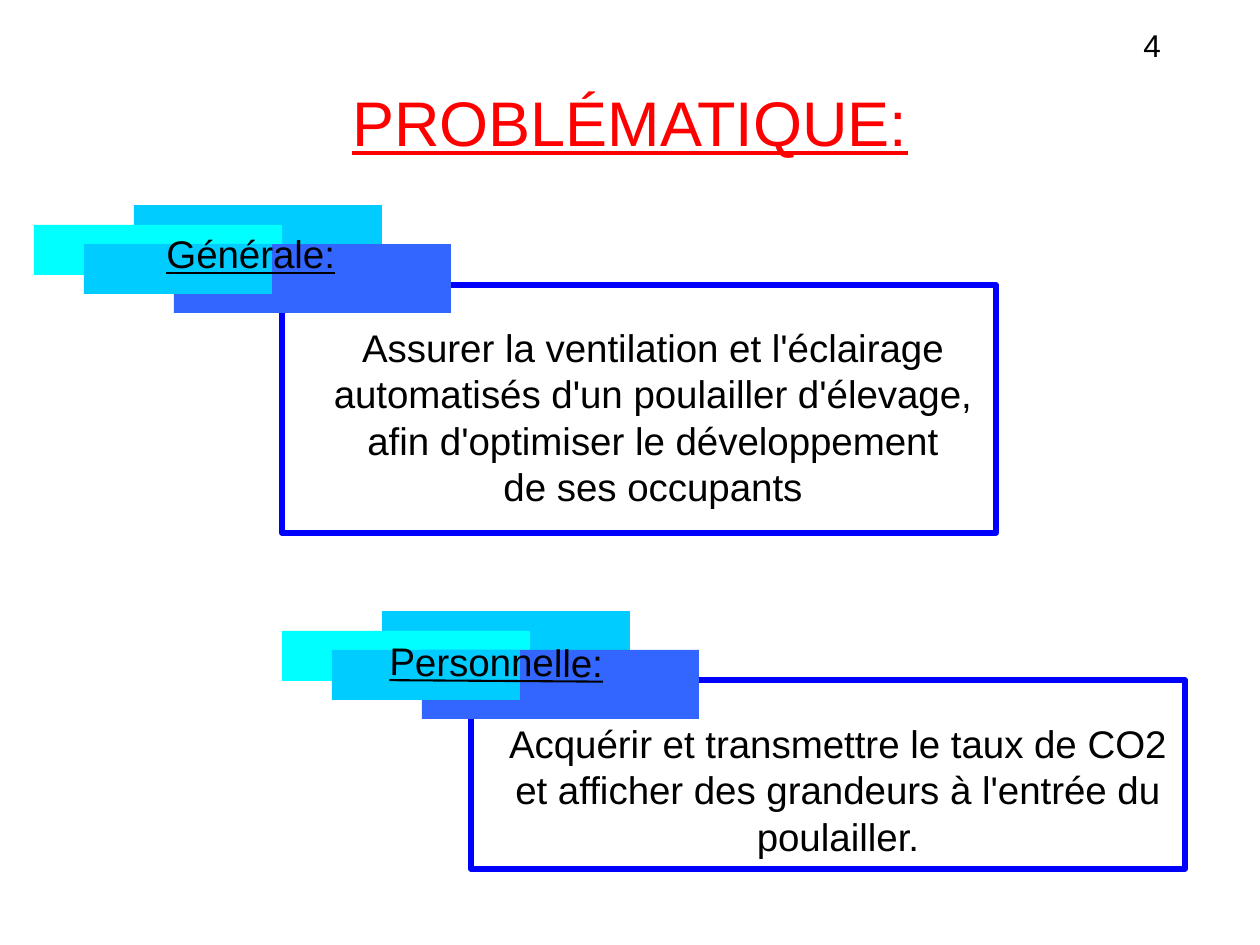
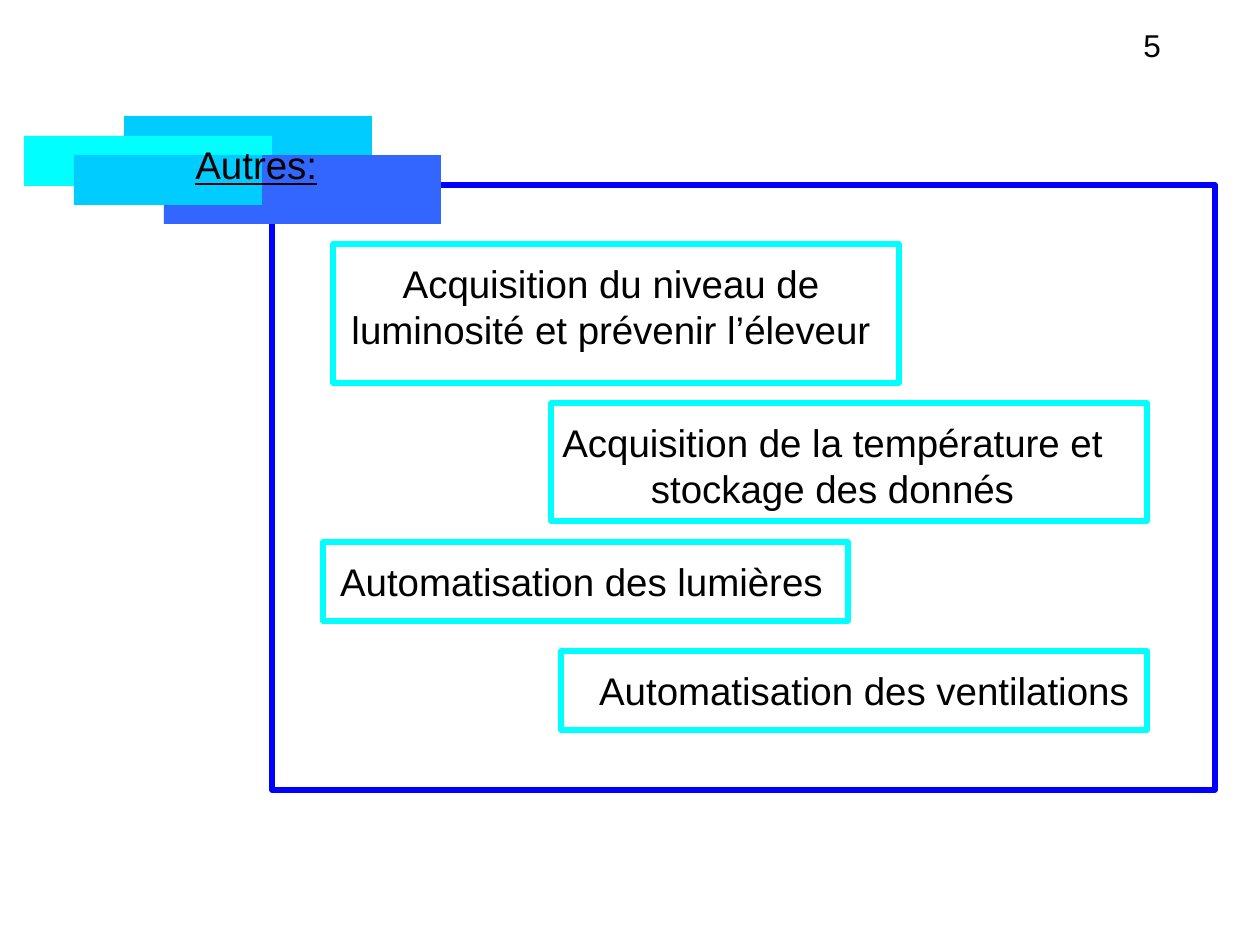
from pptx import Presentation
from pptx.dml.color import RGBColor
from pptx.enum.shapes import MSO_SHAPE as Shape
from pptx.enum.text import MSO_ANCHOR as Anchor, PP_ALIGN as Align
from pptx.util import Emu, Pt

PX_PER_INCH = 126
FONT = "Arial"
BLACK = RGBColor(0x00, 0x00, 0x00)
RED = RGBColor(0xFF, 0x00, 0x00)
BLUE = RGBColor(0x00, 0x00, 0xFF)
CYAN = RGBColor(0x00, 0xFF, 0xFF)
SKY = RGBColor(0x00, 0xCC, 0xFF)
ROYAL = RGBColor(0x33, 0x66, 0xFF)

TITLE_ONLY, BLANK = 5, 6
BANNER_BARS = [
    (100, 0, 248, 69, SKY),
    (0, 20, 248, 50, CYAN),
    (140, 39, 277, 69, ROYAL),
    (50, 39, 188, 50, SKY),
]


def px(length):
    return Emu(round(length * 914400 / PX_PER_INCH))


def scaled(box):
    return [px(length) for length in box]


def write(frame, lines, size=22, align=Align.CENTER, color=BLACK, underline=None):
    frame.word_wrap = True
    frame.vertical_anchor = Anchor.TOP
    frame.text = "\n".join(lines)
    for paragraph in frame.paragraphs:
        paragraph.alignment = align
        font = paragraph.font
        font.name, font.size, font.underline = FONT, Pt(size), underline
        font.color.rgb = color


def add_text(slide, box, lines, **style):
    text = slide.shapes.add_textbox(*scaled(box))
    write(text.text_frame, lines, **style)
    return text


def add_bar(slide, box, fill):
    bar = slide.shapes.add_shape(Shape.RECTANGLE, *scaled(box))
    bar.shadow.inherit = False
    bar.fill.solid()
    bar.fill.fore_color.rgb = fill
    bar.line.fill.background()


def add_frame(slide, box, color):
    frame = slide.shapes.add_shape(Shape.RECTANGLE, *scaled(box))
    frame.shadow.inherit = False
    frame.fill.background()
    frame.line.color.rgb = color
    frame.line.width = Pt(3)


def add_banner(slide, left, top, heading, indent, width, drop=19, tilt=0):
    for dx, dy, bar_width, bar_height, fill in BANNER_BARS:
        add_bar(slide, (left + dx, top + dy, bar_width, bar_height), fill)
    label = add_text(slide, (left + indent, top + drop, width, 59), [heading],
                     align=Align.LEFT, underline=True)
    label.rotation = tilt


def add_objective(slide, box, text_offset, text_height, lines):
    left, top, width, height = box
    dx, dy = text_offset
    add_frame(slide, box, BLUE)
    add_text(slide, (left + dx, top + dy, width, text_height), lines)


def add_task(slide, box, text_dx, text_width, text):
    left, top, width, height = box
    add_frame(slide, box, CYAN)
    add_text(slide, (left + text_dx, top + 10, text_width, height - 20), [text])


def add_slide(deck, layout, number):
    slide = deck.slides.add_slide(deck.slide_layouts[layout])
    add_text(slide, (1131, 20, 89, 50), [str(number)], size=18, align=Align.LEFT)
    return slide


def build_problem(deck):
    slide = add_slide(deck, TITLE_ONLY, 4)
    title = slide.shapes.title
    title.left, title.top, title.width, title.height = scaled((0, 77, 1260, 88))
    write(title.text_frame, ["PROBLÉMATIQUE:"], size=36, color=RED, underline=True)

    add_objective(slide, (282, 285, 714, 248), (14, 33), 198, [
        "Assurer la ventilation et l'éclairage",
        "automatisés d'un poulailler d'élevage,",
        "afin d'optimiser le développement",
        "de ses occupants",
    ])
    add_banner(slide, 34, 205, "Générale:", indent=120, width=198)

    add_objective(slide, (471, 680, 714, 189), (10, 34), 151, [
        "Acquérir et transmettre le taux de CO2",
        "et afficher des grandeurs à l'entrée du poulailler.",
    ])
    add_banner(slide, 282, 611, "Personnelle:", indent=95, width=243, drop=21, tilt=0.4)


def build_others(deck):
    slide = add_slide(deck, BLANK, 5)
    add_frame(slide, (272, 185, 943, 605), BLUE)
    add_banner(slide, 24, 116, "Autres:", indent=159, width=198)
    tasks = [
        ((333, 244, 566, 139), 0, 556,
         "Acquisition du niveau de luminosité et prévenir l’éleveur"),
        ((551, 403, 596, 118), -31, 625,
         "Acquisition de la température et stockage des donnés"),
        ((323, 542, 525, 79), 0, 517, "Automatisation des lumières"),
        ((561, 651, 586, 79), 10, 586, "Automatisation des ventilations"),
    ]
    for task in tasks:
        add_task(slide, *task)


def main():
    deck = Presentation()
    deck.slide_width, deck.slide_height = scaled((1260, 945))
    build_problem(deck)
    build_others(deck)
    deck.save("out.pptx")


if __name__ == "__main__":
    main()
